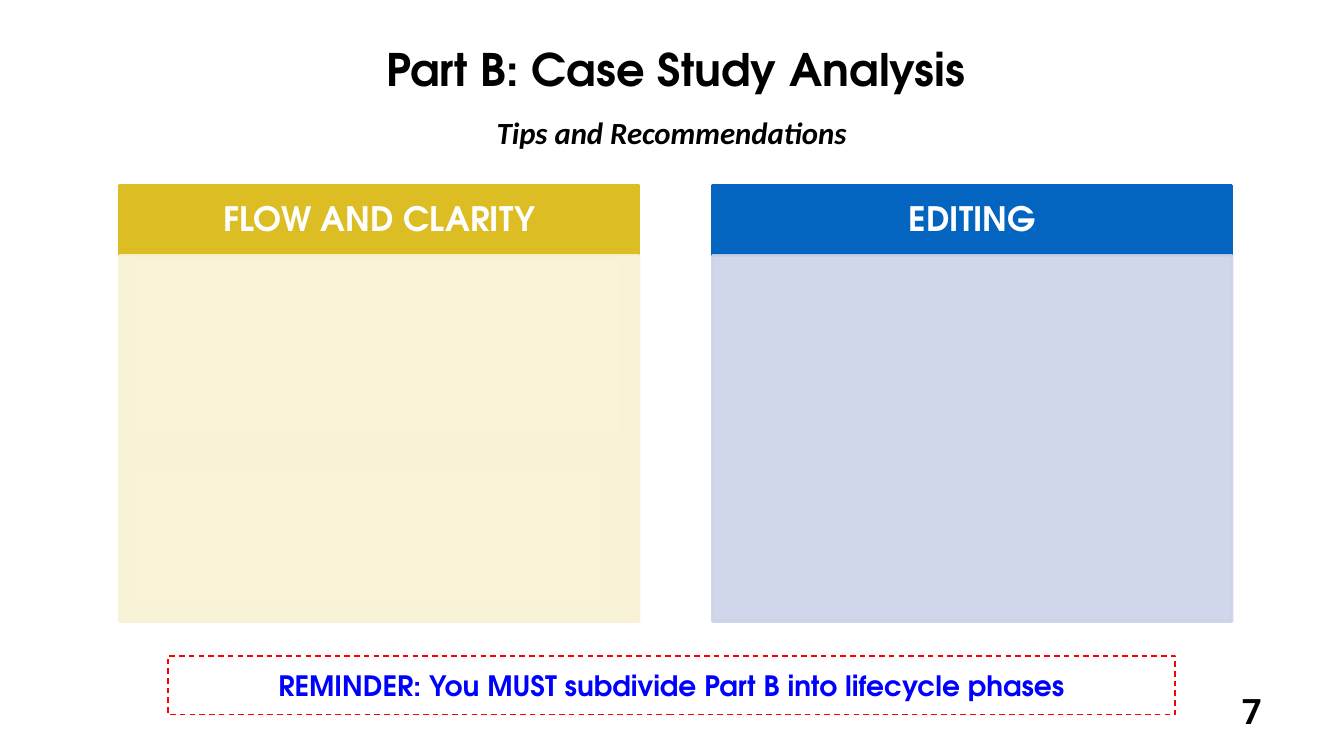
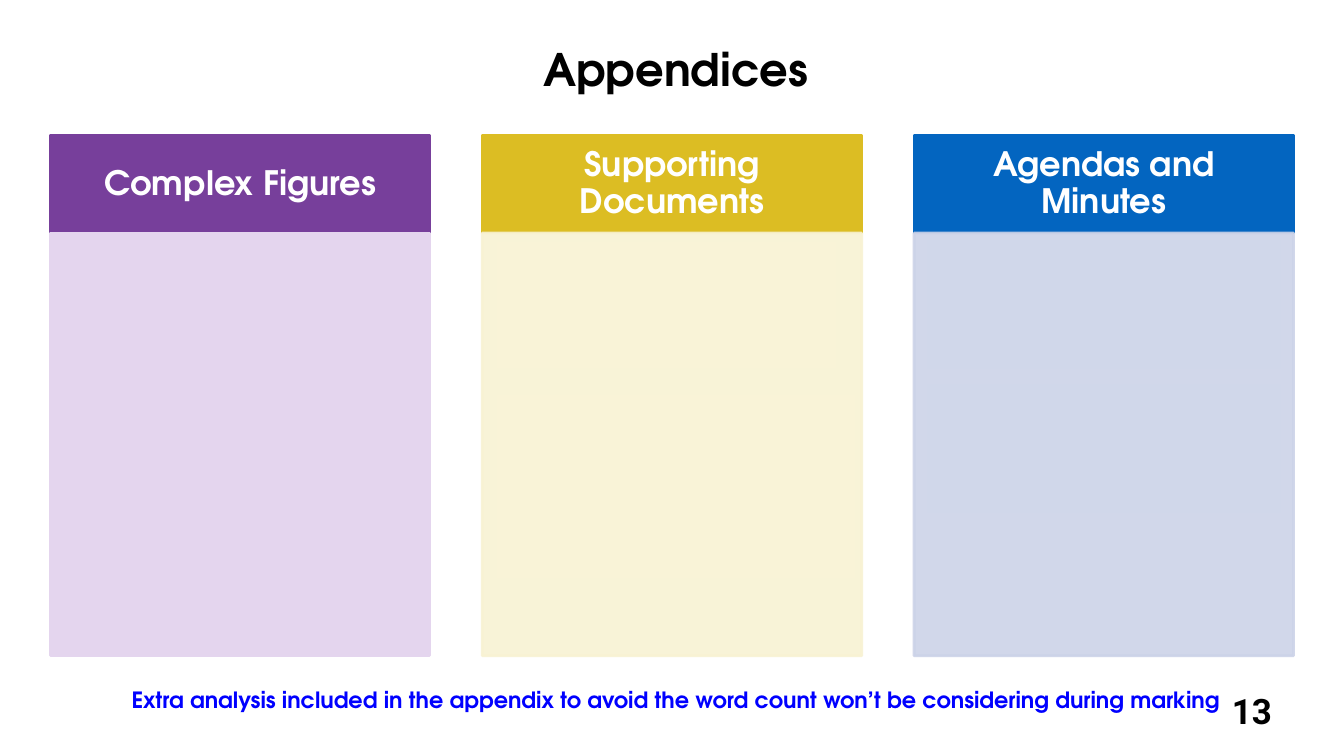
import pptx
import pptx.dml.color
import pptx.enum.dml
import pptx.enum.shapes
import pptx.enum.text
import pptx.oxml.ns
import pptx.util
from lxml import etree

Pt = pptx.util.Pt
RGBColor = pptx.dml.color.RGBColor
RECTANGLE = pptx.enum.shapes.MSO_SHAPE.RECTANGLE
ANCHOR = pptx.enum.text.MSO_ANCHOR
qn = pptx.oxml.ns.qn

BLACK = RGBColor(0x00, 0x00, 0x00)
WHITE = RGBColor(0xFF, 0xFF, 0xFF)
RED = RGBColor(0xFF, 0x00, 0x00)
REMARK_BLUE = RGBColor(0x00, 0x00, 0xFF)
PURPLE = RGBColor(0x77, 0x3F, 0x9B)
PALE_PURPLE = RGBColor(0xE4, 0xD5, 0xEE)
GOLD = RGBColor(0xDC, 0xBD, 0x23)
PALE_GOLD = RGBColor(0xF8, 0xF2, 0xD3)
GOLD_INSET = RGBColor(0xF9, 0xF3, 0xD7)
BLUE = RGBColor(0x03, 0x65, 0xC0)
PALE_BLUE = RGBColor(0xCC, 0xD3, 0xE8)
BLUE_INSET = RGBColor(0xD0, 0xD7, 0xEA)

HEADING_FONT = "TeX Gyre Adventor"
SUBTITLE_FONT = "Calibri"
NUMBER_FONT = "Roboto"

# header colour, panel colour, panel opacity in percent, inset colour
PURPLE_THEME = (PURPLE, PALE_PURPLE, 100, None)
GOLD_THEME = (GOLD, PALE_GOLD, 90, GOLD_INSET)
BLUE_THEME = (BLUE, PALE_BLUE, 90, BLUE_INSET)

# Insets are left, top, width, height.
SLIDES = [
    {
        "title": "Part B: Case Study Analysis",
        "subtitle": "Tips and Recommendations",
        "number": "7",
        "grid": {"left": 85.5, "top": 132.5, "width": 371, "gap": 52.5,
                 "header": 50, "panel": 261.5},
        "columns": [
            ("FLOW AND CLARITY", GOLD_THEME,
             [(95, 188, 348, 122.5), (95, 335, 335, 97)]),
            ("EDITING", BLUE_THEME,
             [(517, 188, 343, 115), (517, 326, 348, 104.5)]),
        ],
        "remark": "REMINDER: You MUST subdivide Part B into lifecycle phases",
        "remark_box": (120, 468.5, 719.5, 42),
        "remark_size": 20,
        "framed": True,
    },
    {
        "title": "Appendices",
        "subtitle": None,
        "number": "13",
        "grid": {"left": 36, "top": 96.5, "width": 271, "gap": 37.5,
                 "header": 70, "panel": 302},
        "columns": [
            ("Complex Figures", PURPLE_THEME, []),
            ("Supporting Documents", GOLD_THEME,
             [(355, 173, 242, 90), (355, 282, 256, 131)]),
            ("Agendas and Minutes", BLUE_THEME,
             [(662.5, 171.5, 252.5, 91.5), (662.5, 274.5, 252.5, 91.5)]),
        ],
        "remark": "Extra analysis included in the appendix to avoid the word "
                  "count won’t be considering during marking",
        "remark_box": (51, 481, 864, 37),
        "remark_size": 16,
        "framed": False,
    },
]


def write(frame, text, size, color, font=HEADING_FONT, italic=False,
          anchor=ANCHOR.MIDDLE, insets=(7.2, 3.6)):
    """Fill a text frame with one bold, centred line of text."""
    frame.word_wrap = True
    frame.auto_size = pptx.enum.text.MSO_AUTO_SIZE.NONE
    frame.vertical_anchor = anchor
    frame.margin_left = frame.margin_right = Pt(insets[0])
    frame.margin_top = frame.margin_bottom = Pt(insets[1])
    paragraph = frame.paragraphs[0]
    paragraph.alignment = pptx.enum.text.PP_ALIGN.CENTER
    run = paragraph.add_run()
    run.text = text
    run.font.name = font
    run.font.size = Pt(size)
    run.font.bold = True
    run.font.italic = italic
    run.font.color.rgb = color
    return paragraph


def add_block(slide, box, fill, line=None, opacity=100):
    """Add a flat rectangle; without a line colour it has no outline."""
    block = slide.shapes.add_shape(RECTANGLE, *map(Pt, box))
    block.shadow.inherit = False
    block.fill.solid()
    block.fill.fore_color.rgb = fill
    if line is None:
        block.line.fill.background()
    else:
        block.line.color.rgb = line
        block.line.width = Pt(2)
    if opacity < 100:
        for color in block.element.spPr.iter(qn("a:srgbClr")):
            etree.SubElement(color, qn("a:alpha"), val=str(opacity * 1000))
    return block


deck = pptx.Presentation()
deck.slide_width, deck.slide_height = Pt(960), Pt(540)

layout = deck.slide_layouts.get_by_name("Title Only")
layout_title = layout.placeholders[0]
layout_title.left, layout_title.top = Pt(60.5), Pt(26)
layout_title.width, layout_title.height = Pt(844.5), Pt(46)

for content in SLIDES:
    slide = deck.slides.add_slide(layout)
    write(slide.shapes.title.text_frame, content["title"], 32, BLACK,
          anchor=ANCHOR.TOP)

    if content["subtitle"]:
        subtitle = slide.shapes.add_textbox(Pt(57.5), Pt(78), Pt(844.5), Pt(34))
        write(subtitle.text_frame, content["subtitle"], 22, BLACK,
              SUBTITLE_FONT, italic=True, anchor=ANCHOR.TOP)

    grid = content["grid"]
    panel_top = grid["top"] + grid["header"]
    for index, (heading, theme, insets) in enumerate(content["columns"]):
        header_color, panel_color, opacity, inset_color = theme
        left = grid["left"] + index * (grid["width"] + grid["gap"])
        header = add_block(
            slide, (left, grid["top"], grid["width"], grid["header"]),
            header_color, header_color)
        line = write(header.text_frame, heading, 24, WHITE, insets=(13.5, 8))
        line.line_spacing = 0.9
        add_block(slide, (left, panel_top, grid["width"], grid["panel"]),
                  panel_color, panel_color, opacity)
        for inset in insets:
            add_block(slide, inset, inset_color)

    remark = slide.shapes.add_textbox(*map(Pt, content["remark_box"]))
    write(remark.text_frame, content["remark"], content["remark_size"],
          REMARK_BLUE, insets=(6, 6))
    if content["framed"]:
        remark.line.color.rgb = RED
        remark.line.width = Pt(1)
        remark.line.dash_style = pptx.enum.dml.MSO_LINE.DASH

    number = slide.shapes.add_textbox(Pt(846), Pt(489.5), Pt(96.5), Pt(36))
    write(number.text_frame, content["number"], 25, BLACK, NUMBER_FONT,
          insets=(3, 3))

deck.save("out.pptx")
